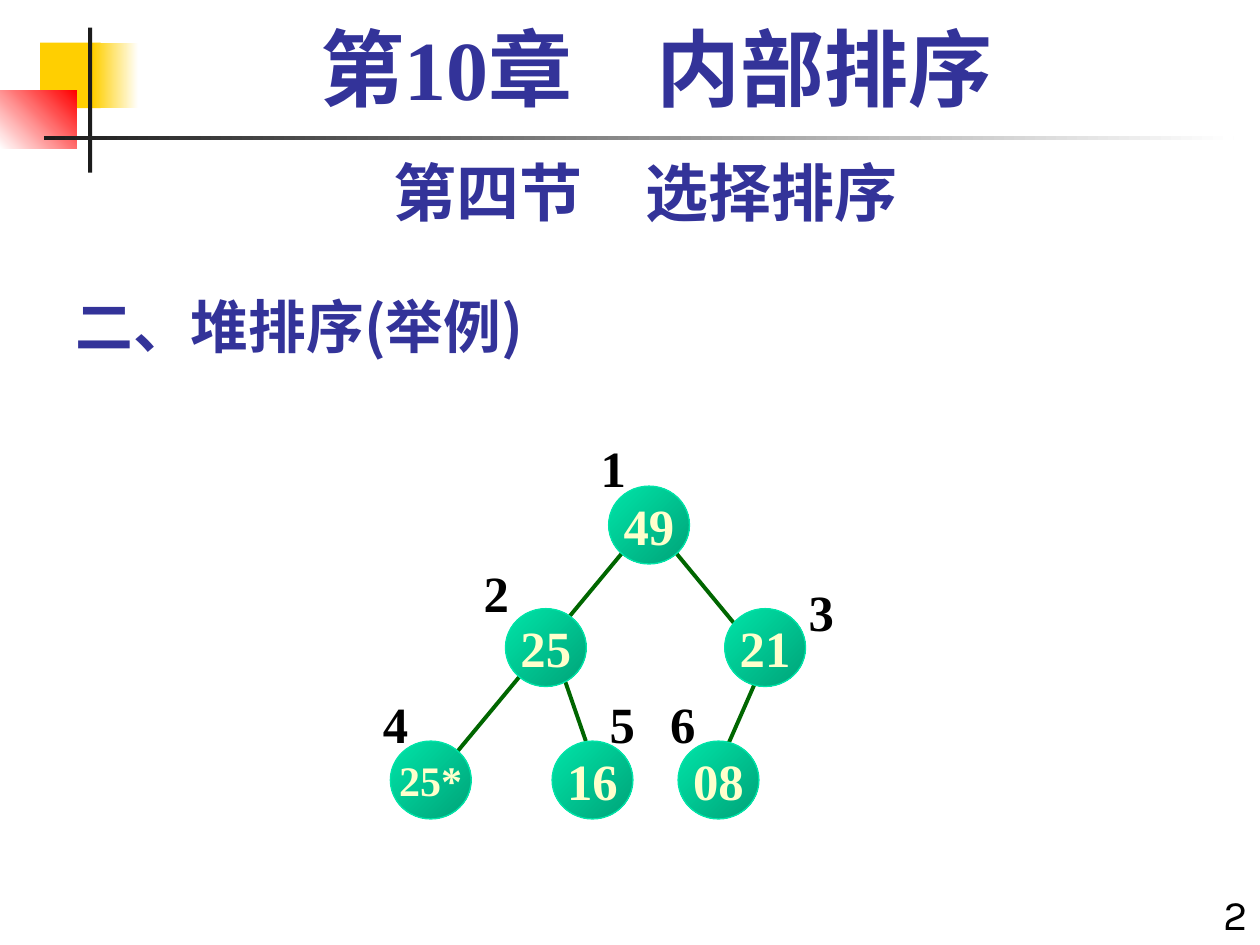
import pptx
import pptx.dml.color
import pptx.enum.shapes
import pptx.enum.text
import pptx.oxml.ns
import pptx.util
from lxml import etree

Cm, Pt = pptx.util.Cm, pptx.util.Pt
ALIGN = pptx.enum.text.PP_ALIGN
ANCHOR = pptx.enum.text.MSO_ANCHOR
SHAPES = pptx.enum.shapes.MSO_SHAPE
qn = pptx.oxml.ns.qn

SERIF, SANS, CJK = "Times New Roman", "Karla", "Noto Sans CJK SC"
NAVY, BLACK, CREAM = "333399", "000000", "FFFFCC"
MINT, TEAL, GREEN = "00E4A8", "00A378", "006600"

# Decoration: left, top, width, height, colours, clockwise gradient angle (cm)
DECORATION = [
    (0.81, 0.86, 1.22, 1.32, ["FFCF01"], 0),
    (1.88, 0.86, 0.91, 1.32, ["FFCF01", "FFFFFF"], 0),
    (0, 1.83, 1.55, 1.17, ["FFFFFF", "FF0000"], 315),
    (1.78, 0.56, 0.08, 2.92, ["1C1C1C"], 0),
    (0.89, 2.74, 23.98, 0.08, ["1C1C1C", "FFFFFF"], 0),
]

# Headings: text, box (cm), size, font, colour, bold, alignment, anchor, line spacing
HEADINGS = [
    ("二、堆排序(举例)", (1.27, 5.51, 15.88, 1.88), 33, CJK, NAVY, True,
     ALIGN.LEFT, ANCHOR.BOTTOM, 1.0),
    ("2", (23.7, 17.78, 1.7, 1.27), 24, SANS, BLACK, False,
     ALIGN.RIGHT, ANCHOR.TOP, 1.0),
    ("第四节　选择排序", (1.27, 2.97, 23.5, 1.78), 36, SANS, NAVY, True,
     ALIGN.CENTER, ANCHOR.TOP, 1.0),
    ("第10章　内部排序", (1.7, 0.43, 23.06, 2.11), 48, SERIF, NAVY, True,
     ALIGN.CENTER, ANCHOR.TOP, 0.9),
]

# Heap in array order: key, level, node left, index label left and top (cm)
HEAP = [
    ("49", 0, 12.27, 11.86, 8.69),
    ("25", 1, 10.19, 9.5, 11.2),
    ("21", 1, 14.61, 16.05, 11.58),
    ("25*", 2, 7.87, 7.47, 13.84),
    ("16", 2, 11.13, 12.04, 13.84),
    ("08", 2, 13.67, 13.26, 13.84),
]
LEVEL_TOPS = [9.8, 12.27, 14.94]
NODE_WIDTH, NODE_HEIGHT = 1.63, 1.57
LABEL_WIDTH, LABEL_HEIGHT = 1.02, 1.45

# Branches run behind the nodes; the longest passes behind 25 (cm)
BRANCHES = [
    (15.29, 13.61, 14.61, 15.16),
    (13.44, 10.92, 15.29, 13.16),
    (11.35, 13.61, 11.81, 14.94),
    (12.73, 10.92, 9.02, 15.39),
]


def rgb(color):
    return pptx.dml.color.RGBColor.from_string(color)


def add_filled(slide, kind, box, colors, angle):
    shape = slide.shapes.add_shape(kind, *map(Cm, box))
    shape.shadow.inherit = False
    shape.line.fill.background()
    if len(colors) == 1:
        shape.fill.solid()
        shape.fill.fore_color.rgb = rgb(colors[0])
    else:
        shape.fill.gradient()
        shape.fill.gradient_angle = (360 - angle) % 360
        for stop, color in zip(shape.fill.gradient_stops, colors):
            stop.color.rgb = rgb(color)
    return shape


def write(shape, text, size, font_name, color, bold=True, align=ALIGN.LEFT,
          anchor=ANCHOR.TOP, spacing=1.0, wrap=False):
    frame = shape.text_frame
    frame.word_wrap = wrap
    frame.vertical_anchor = anchor
    paragraph = frame.paragraphs[0]
    paragraph.text = text
    paragraph.alignment = align
    paragraph.line_spacing = spacing
    font = paragraph.font
    font.size, font.name, font.bold = Pt(size), font_name, bold
    font.color.rgb = rgb(color)
    # East Asian typeface for the Chinese characters
    properties = paragraph._p.pPr.find(qn("a:defRPr"))
    etree.SubElement(properties, qn("a:ea"), typeface=CJK)


def add_branch(slide, points):
    straight = pptx.enum.shapes.MSO_CONNECTOR.STRAIGHT
    connector = slide.shapes.add_connector(straight, *map(Cm, points))
    connector.line.color.rgb = rgb(GREEN)
    connector.line.width = Pt(2.25)
    etree.SubElement(connector._element.spPr, qn("a:effectLst"))


def add_node(slide, key, level, left):
    box = (left, LEVEL_TOPS[level], NODE_WIDTH, NODE_HEIGHT)
    node = add_filled(slide, SHAPES.OVAL, box, [MINT, TEAL], 45)
    node.line.color.rgb = rgb(MINT)
    node.line.width = Pt(0.75)
    size = 29 if len(key) == 2 else 24
    write(node, key, size, SERIF, CREAM, align=ALIGN.CENTER, anchor=ANCHOR.MIDDLE)


def main():
    presentation = pptx.Presentation()
    presentation.slide_width, presentation.slide_height = Cm(25.4), Cm(19.05)
    slide = presentation.slides.add_slide(presentation.slide_layouts[6])

    for *box, colors, angle in DECORATION:
        add_filled(slide, SHAPES.RECTANGLE, box, colors, angle)

    for text, box, *style in HEADINGS:
        write(slide.shapes.add_textbox(*map(Cm, box)), text, *style, wrap=True)

    # Heap tree: branches, nodes, then array positions
    for points in BRANCHES:
        add_branch(slide, points)
    for key, level, left, *_ in HEAP:
        add_node(slide, key, level, left)
    for position, (*_, left, top) in enumerate(HEAP, start=1):
        label = slide.shapes.add_textbox(
            Cm(left), Cm(top), Cm(LABEL_WIDTH), Cm(LABEL_HEIGHT))
        write(label, str(position), 29, SERIF, BLACK)

    presentation.save("out.pptx")


if __name__ == "__main__":
    main()
